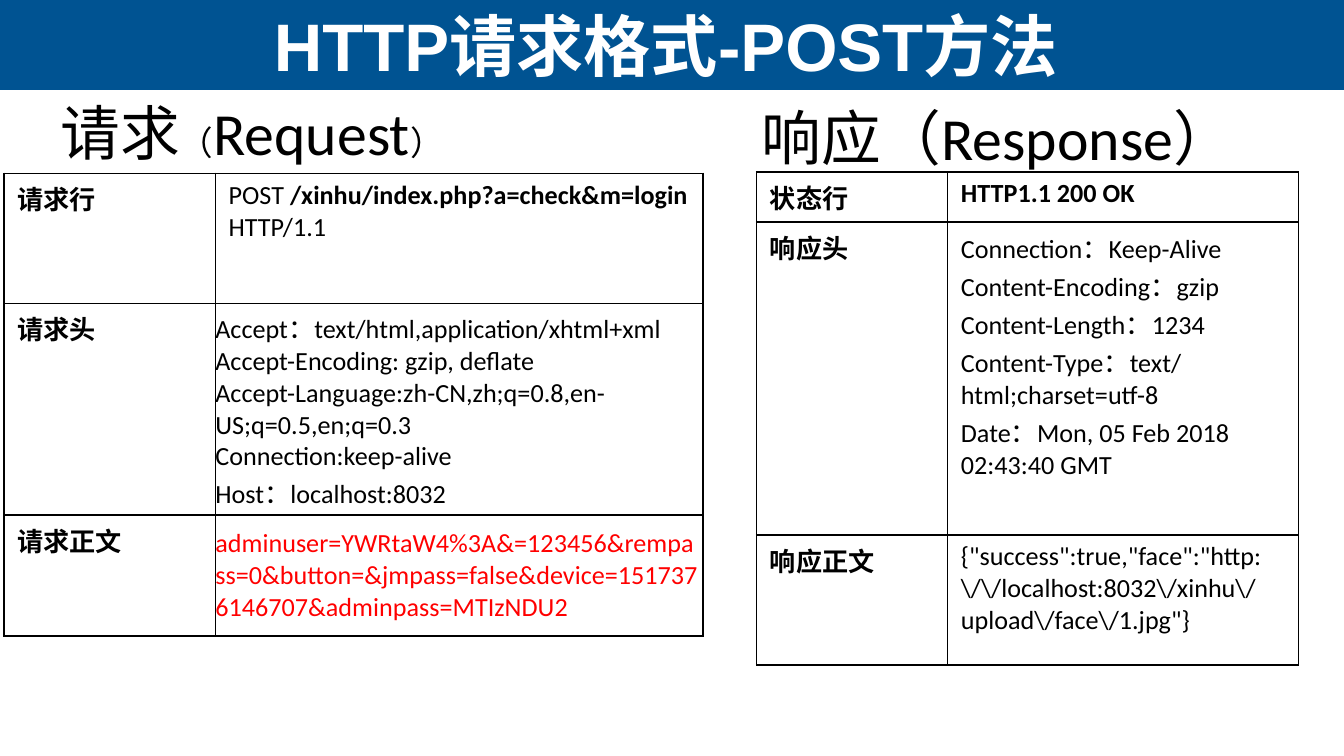
from lxml.etree import SubElement
from pptx import Presentation
from pptx.dml.color import RGBColor
from pptx.enum.shapes import MSO_SHAPE
from pptx.enum.text import MSO_ANCHOR as ANCHOR, MSO_AUTO_SIZE as AUTO, PP_ALIGN as ALIGN
from pptx.oxml.ns import qn
from pptx.util import Cm, Pt

BLUE, WHITE, BLACK, RED = "005392", "FFFFFF", "000000", "FF0000"
BOLD = {"bold": True}
PADDED = (0.25, 0.11)
FLUSH = (0, 0)


def rgb(value):
    return RGBColor.from_string(value)


class SlideBuilder:
    base = {"name": "Calibri", "size": 14, "color": BLACK, "bold": False}

    def __init__(self, prs):
        self.s = prs.slides.add_slide(prs.slide_layouts[5])
        fill = self.s.background.fill
        fill.solid()
        fill.fore_color.rgb = rgb(WHITE)

    def add_text(self, tf, paragraphs, **style):
        """Fill a frame; a paragraph is a string or a list of (text, format) runs."""
        for i, runs in enumerate(paragraphs):
            p = tf.paragraphs[0] if i == 0 else tf.add_paragraph()
            if isinstance(runs, str):
                runs = [(runs, {})]
            for text, extra in runs:
                r = p.add_run()
                r.text = text
                for key, value in {**self.base, **style, **extra}.items():
                    if key == "color":
                        r.font.color.rgb = rgb(value)
                    else:
                        setattr(r.font, key, Pt(value) if key == "size" else value)

    def title(self, text, box, **style):
        sp = self.s.shapes.title
        sp.left, sp.top, sp.width, sp.height = map(Cm, box)
        tf = sp.text_frame
        frame = {"word_wrap": True, "auto_size": AUTO.NONE, "vertical_anchor": ANCHOR.MIDDLE}
        for key, value in frame.items():
            setattr(tf, key, value)
        self.add_text(tf, [text], **style)
        tf.paragraphs[0].alignment = ALIGN.CENTER

    def band(self, box, color):
        """Add a plain bar behind the title."""
        sp = self.s.shapes.add_shape(MSO_SHAPE.RECTANGLE, *map(Cm, box))
        sp.shadow.inherit = False
        sp.fill.solid()
        sp.fill.fore_color.rgb = rgb(color)
        sp.line.fill.background()
        self.s.shapes.title.element.addprevious(sp.element)

    def text(self, runs, box, **style):
        tf = self.s.shapes.add_textbox(*map(Cm, box)).text_frame
        tf.word_wrap = True
        tf.auto_size = AUTO.SHAPE_TO_FIT_TEXT
        self.add_text(tf, [runs], **style)

    def border(self, cell):
        tc_pr = cell._tc.get_or_add_tcPr()
        for side in "LRTB":
            ln = SubElement(tc_pr, qn(f"a:ln{side}"), w=str(Pt(1)))
            SubElement(SubElement(ln, qn("a:solidFill")), qn("a:srgbClr"), val=BLACK)

    def cell(self, cell, paragraphs, padding=PADDED, **style):
        self.border(cell)
        cell.fill.background()
        cell.margin_left = cell.margin_right = Cm(padding[0])
        cell.margin_top = cell.margin_bottom = Cm(padding[1])
        cell.vertical_anchor = ANCHOR.MIDDLE if padding == FLUSH else ANCHOR.TOP
        self.add_text(cell.text_frame, paragraphs, **style)

    def table(self, left, top, widths, heights, rows):
        """Add a table of (bold label, paragraphs, cell format) rows."""
        box = (left, top, sum(widths), sum(heights))
        table = self.s.shapes.add_table(len(rows), len(widths), *map(Cm, box)).table
        table.first_row = table.horz_banding = False
        for column, width in zip(table.columns, widths):
            column.width = Cm(width)
        for i, (label, paragraphs, style) in enumerate(rows):
            table.rows[i].height = Cm(heights[i])
            self.cell(table.cell(i, 0), [label], **BOLD)
            self.cell(table.cell(i, 1), paragraphs, **style)


REQUEST = [
    ("请求行", [[("POST ", {}), ("/xinhu/index.php?a=check&m=login", BOLD)], "HTTP/1.1"], {}),
    ("请求头", [
        "Accept：text/html,application/xhtml+xml",
        "Accept-Encoding: gzip, deflate",
        "Accept-Language:zh-CN,zh;q=0.8,en-US;q=0.5,en;q=0.3",
        "Connection:keep-alive",
        "Host：localhost:8032",
    ], {"padding": FLUSH}),
    ("请求正文", [
        "adminuser=YWRtaW4%3A&=123456&rempass=0&button=&jmpass=false"
        "&device=1517376146707&adminpass=MTIzNDU2",
    ], {"padding": FLUSH, "color": RED}),
]
RESPONSE = [
    ("状态行", ["HTTP1.1 200 OK"], BOLD),
    ("响应头", [
        "Connection：Keep-Alive",
        "Content-Encoding：gzip",
        "Content-Length：1234",
        "Content-Type：text/html;charset=utf-8",
        "Date：Mon, 05 Feb 2018 02:43:40 GMT",
    ], {}),
    ("响应正文", [
        r'{"success":true,"face":"http:\/\/localhost:8032\/xinhu\/upload\/face\/1.jpg"}',
    ], {}),
]


def main():
    prs = Presentation()
    prs.slide_width, prs.slide_height = Cm(25.4), Cm(14.29)
    slide = SlideBuilder(prs)
    slide.band((0, 0, 25.4, 1.7), BLUE)
    slide.title("HTTP请求格式-POST方法", (0.05, 0, 25.07, 1.7),
                name="Arial", size=36, color=WHITE, bold=True)
    slide.table(0.08, 3.28, (3.99, 9.22), (2.46, 3.99, 2.29), REQUEST)
    slide.table(14.3, 3.25, (3.61, 6.63), (0.76, 5.92, 2.46), RESPONSE)
    small = {"size": 18}
    slide.text([("请求", {}), ("（", small), ("Request", {}), ("）", small)],
               (0.89, 1.68, 8.2, 1.63), size=32)
    slide.text("响应（Response）", (14.15, 1.78, 10, 1.63), size=32)
    prs.save("out.pptx")


if __name__ == "__main__":
    main()
